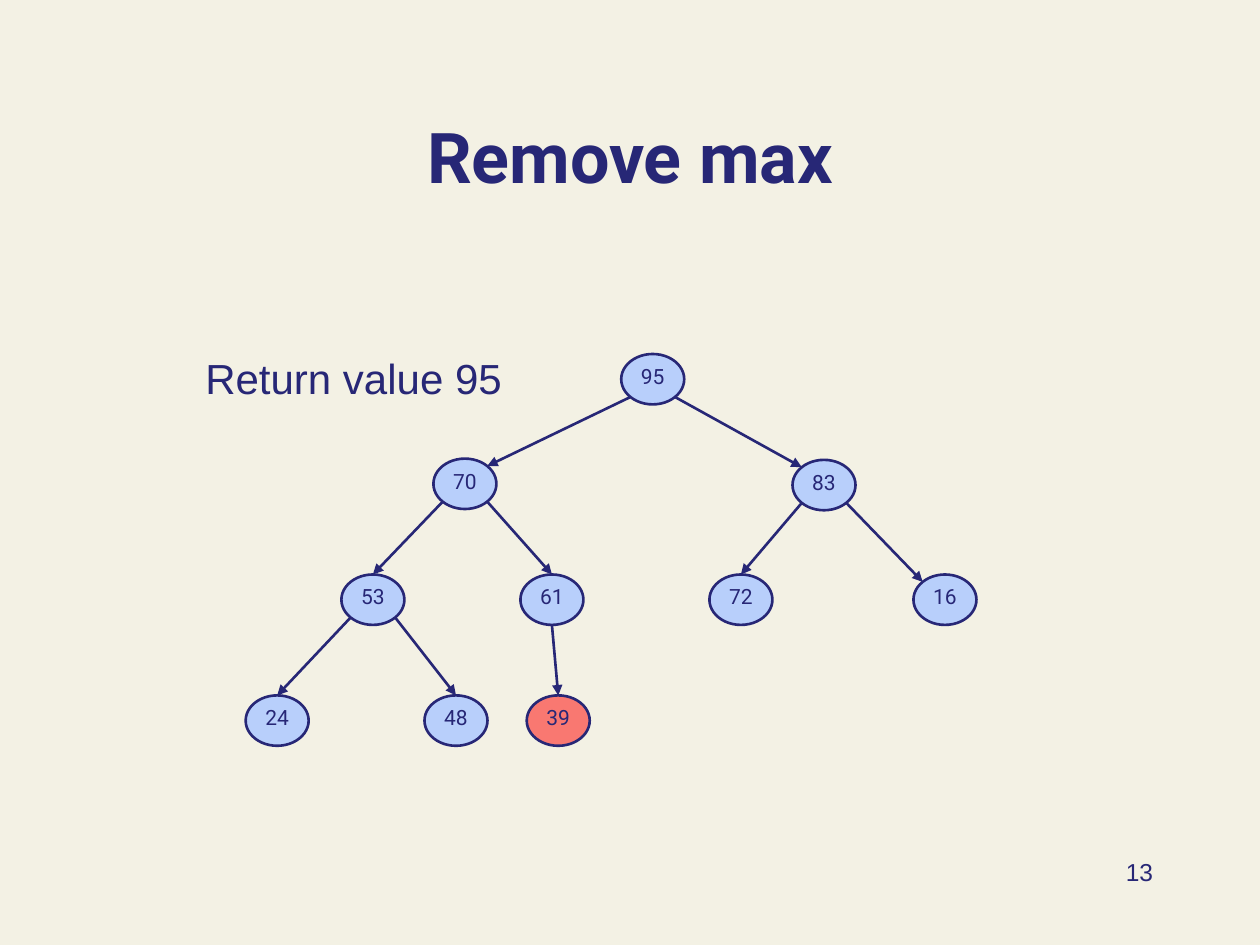
from dataclasses import dataclass
from math import sqrt
from typing import Any

from lxml.etree import SubElement as Sub
from pptx import Presentation
from pptx.dml.color import RGBColor as Rgb
from pptx.enum.shapes import MSO_CONNECTOR as Conn, MSO_SHAPE as Form
from pptx.enum.text import MSO_ANCHOR as Anchor, PP_ALIGN as Align
from pptx.oxml.ns import qn
from pptx.util import Pt

HUES = {"back": "F3F1E4", "ink": "272776", "node": "B8CFFB", "last": "FF0000"}
WIDE, HIGH = 36, 28.8  # node size
LINE = 1.5
DIAG = sqrt(0.5) / 2

# Points on an ellipse, as shares of its size from its centre
SITES = {
    "top": (0, -0.5),
    "base": (0, 0.5),
    "top left": (-DIAG, -DIAG),
    "top right": (DIAG, -DIAG),
    "base left": (-DIAG, DIAG),
    "base right": (DIAG, DIAG),
}


@dataclass(frozen=True)
class Node:
    key: int
    left: float
    top: float
    hue: str = "node"
    alpha: int = 100

    def site(self, name: str) -> tuple[Pt, Pt]:
        across, down = SITES[name]
        return (Pt(self.left + WIDE * (0.5 + across)),
                Pt(self.top + HIGH * (0.5 + down)))


@dataclass(frozen=True)
class Edge:
    head: int
    start: str
    child: int
    end: str = "top"


NODES = [
    Node(95, 355, 202.3),
    Node(70, 247.7, 262.1),
    Node(83, 452.9, 262.8),
    Node(53, 195.1, 328.3),
    Node(61, 297.4, 328.3),
    Node(72, 405.4, 328.3),
    Node(16, 522, 328.3),
    Node(24, 140.4, 397.4),
    Node(48, 242.6, 397.4),
    Node(39, 301, 397.4, "last", 50),
]
EDGES = [
    Edge(95, "base left", 70, "top right"),
    Edge(95, "base right", 83, "top left"),
    Edge(70, "base left", 53),
    Edge(70, "base right", 61),
    Edge(83, "base left", 72),
    Edge(83, "base right", 16, "top left"),
    Edge(53, "base left", 24),
    Edge(53, "base right", 48),
    Edge(61, "base", 39),
]


def hue(name: str) -> Rgb:
    return Rgb.from_string(HUES[name])


def apply(item: Any, form: dict[str, Any]) -> None:
    for name, value in form.items():
        setattr(item, name, value)


def write(shape: Any, text: str, size: float, face: str, align: Align,
          bold: bool = False, **frame: Any) -> None:
    """Fill a shape with one styled paragraph; frame holds text frame values."""
    box = shape.text_frame
    apply(box, {"word_wrap": True, **frame})
    par = box.paragraphs[0]
    par.alignment = align
    run = par.add_run()
    run.text = text
    apply(run.font, {"size": Pt(size), "name": face, "bold": bold})
    run.font.color.rgb = hue("ink")


def stroke(line: Any) -> None:
    line.width = Pt(LINE)
    line.color.rgb = hue("ink")


def draw_node(slide: Any, node: Node) -> None:
    oval = slide.shapes.add_shape(
        Form.OVAL, Pt(node.left), Pt(node.top), Pt(WIDE), Pt(HIGH))
    oval.shadow.inherit = False
    oval.fill.solid()
    oval.fill.fore_color.rgb = hue(node.hue)
    if node.alpha < 100:
        shade = oval.fill._xPr.find(qn("a:solidFill"))[0]
        Sub(shade, qn("a:alpha"), val=str(node.alpha * 1000))
    stroke(oval.line)
    write(oval, str(node.key), 12, "Roboto", Align.CENTER,
          vertical_anchor=Anchor.MIDDLE, margin_left=0, margin_right=0,
          margin_top=0, margin_bottom=Pt(3.6))


def draw_edge(slide: Any, edge: Edge, tree: dict[int, Node]) -> None:
    link = slide.shapes.add_connector(
        Conn.STRAIGHT, *tree[edge.head].site(edge.start),
        *tree[edge.child].site(edge.end))
    stroke(link.line)
    Sub(link.line._get_or_add_ln(), qn("a:tailEnd"), type="triangle")
    Sub(link._element.spPr, qn("a:effectLst"))


def main() -> None:
    deck = Presentation()
    apply(deck, {"slide_width": Pt(720), "slide_height": Pt(540)})
    slide = deck.slides.add_slide(deck.slide_layouts[5])
    fill = slide.background.fill
    fill.solid()
    fill.fore_color.rgb = hue("back")

    title = slide.shapes.title
    apply(title, {"left": Pt(54), "top": Pt(38.9),
                  "width": Pt(612), "height": Pt(77.8)})
    write(title, "Remove max", 40, "Roboto", Align.CENTER, True,
          vertical_anchor=Anchor.BOTTOM)

    tree = {node.key: node for node in NODES}
    for edge in EDGES:
        draw_edge(slide, edge, tree)
    for node in NODES:
        draw_node(slide, node)

    note = slide.shapes.add_textbox(Pt(110.2), Pt(198), Pt(185.8), Pt(36))
    write(note, "Return value 95", 24, "Arial", Align.LEFT)
    page = slide.shapes.add_textbox(Pt(516.2), Pt(486), Pt(149.8), Pt(36))
    write(page, "13", 14, "Arial", Align.RIGHT)

    deck.save("out.pptx")


if __name__ == "__main__":
    main()
